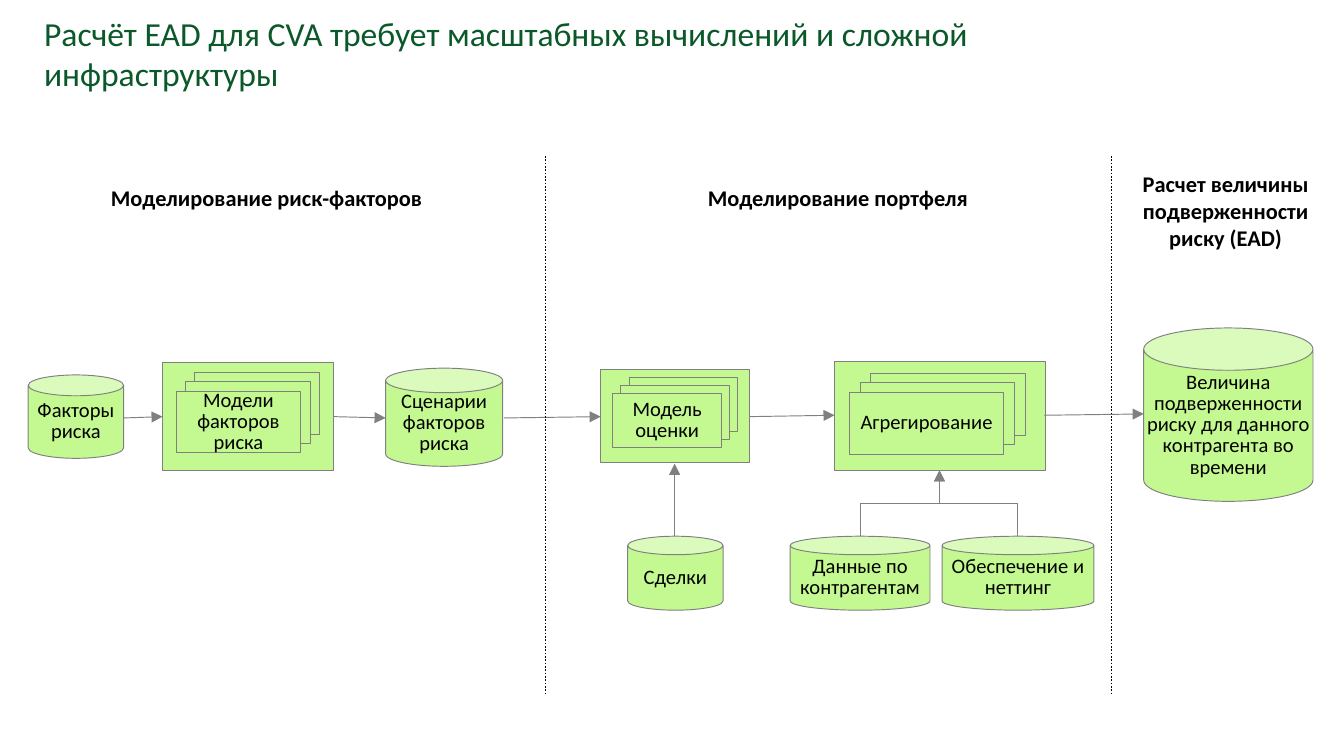
"""Build a slide showing the EAD calculation flow for CVA."""
from lxml.etree import SubElement
from pptx import Presentation
from pptx.dml.color import RGBColor
from pptx.enum.dml import MSO_LINE
from pptx.enum.shapes import MSO_CONNECTOR as LINK, MSO_SHAPE as SHAPE
from pptx.enum.text import MSO_ANCHOR as ANCHOR, PP_ALIGN as ALIGN
from pptx.oxml.ns import qn
from pptx.util import Inches, Pt

rgb = RGBColor.from_string
GREEN, GREY, BLACK = "C4F991", "808080", "000000"


def write(shape, text, size=11, color=BLACK, bold=False, align=ALIGN.CENTER,
          anchor=ANCHOR.MIDDLE, inset=(0.1, 0.05), spacing=None, wrap=True):
    frame = shape.text_frame
    frame.word_wrap = wrap
    frame.vertical_anchor = anchor
    frame.margin_left = frame.margin_right = Inches(inset[0])
    frame.margin_top = frame.margin_bottom = Inches(inset[1])
    paragraph = frame.paragraphs[0]
    paragraph.text = text
    paragraph.alignment = align
    paragraph.line_spacing = spacing
    font = paragraph.font
    font.name, font.size, font.bold = "Calibri", Pt(size), bold
    font.color.rgb = rgb(color)


def connect(kind, start, end, color=GREY, width=0.5, arrow=True):
    link = slide.shapes.add_connector(kind, *map(Inches, start + end))
    link.line.color.rgb = rgb(color)
    link.line.width = Pt(width)
    properties = link.element.spPr
    SubElement(properties, qn("a:effectLst"))
    if arrow:
        SubElement(properties.find(qn("a:ln")), qn("a:tailEnd"), type="triangle")
    return link


deck = Presentation()
deck.slide_width = Inches(10)
deck.slide_height = Inches(10 * 9 / 16)
slide = deck.slides.add_slide(deck.slide_layouts[6])

title = slide.shapes.add_textbox(*map(Inches, (0.23, 0.08, 7.17, 0.63)))
write(title, "Расчёт EAD для CVA требует масштабных вычислений и сложной инфраструктуры",
      size=18, color="0B592A", align=ALIGN.LEFT)

stages = [
    ("Моделирование риск-факторов", (0.72, 1.32, 2.53, 0.3), False),
    ("Моделирование портфеля", (5.16, 1.32, 2.15, 0.3), False),
    ("Расчет величины подверженности риску (EAD)", (8.27, 1.22, 1.7, 0.71), True),
]
for heading, place, wrap in stages:
    stage = slide.shapes.add_textbox(*map(Inches, place))
    write(stage, heading, size=12, bold=True, anchor=ANCHOR.TOP, wrap=wrap)

nodes = [
    (SHAPE.CAN, (0.21, 2.79, 0.71, 0.62), "Факторы риска", 0.02),
    (SHAPE.CAN, (2.87, 2.74, 0.87, 0.73), "Сценарии факторов риска", 0.02),
    (SHAPE.CAN, (4.67, 3.99, 0.71, 0.55), "Сделки", 0.02),
    (SHAPE.CAN, (5.88, 3.99, 1.04, 0.55), "Данные по контрагентам", 0.02),
    (SHAPE.CAN, (7.01, 3.99, 1.13, 0.55), "Обеспечение и неттинг", 0.02),
    (SHAPE.CAN, (8.51, 2.44, 1.26, 1.29), "Величина подверженности риску для данного контрагента во времени", 0.02),
]
models = [
    ("Модели факторов риска", (1.21, 2.7, 1.27, 0.8), (1.31, 2.91, 0.93, 0.46), 0.07, 0.07),
    ("Модель оценки", (4.47, 2.75, 1.11, 0.69), (4.56, 2.93, 0.81, 0.4), 0.06, 0.06),
    ("Агрегирование", (6.21, 2.69, 1.57, 0.81), (6.32, 2.92, 1.15, 0.46), 0.08, 0.07),
]
for label, panel, (left, top, width, height), step_x, step_y in models:
    nodes.append((SHAPE.RECTANGLE, panel, "", 0.05))
    for depth in (2, 1, 0):
        sheet = (left + depth * step_x, top - depth * step_y, width, height)
        nodes.append((SHAPE.RECTANGLE, sheet, "" if depth else label, 0.05))

for outline, place, label, margin in nodes:
    node = slide.shapes.add_shape(outline, *map(Inches, place))
    node.shadow.inherit = False
    node.fill.solid()
    node.fill.fore_color.rgb = rgb(GREEN)
    node.line.color.rgb = rgb(GREY)
    node.line.width = Pt(0.5)
    if label:
        write(node, label, inset=(margin, 0.05), spacing=0.86)

flows = [
    ((0.92, 3.11), (1.21, 3.1)),
    ((2.48, 3.1), (2.87, 3.11)),
    ((3.75, 3.11), (4.47, 3.1)),
    ((5.58, 3.1), (6.21, 3.09)),
    ((7.77, 3.09), (8.51, 3.08)),
    ((5.02, 3.99), (5.02, 3.45)),
]
for start, end in flows:
    connect(LINK.STRAIGHT, start, end)

merge_x, merge_y, source_y = 6.99, 3.5, 3.99
half_rise, middle_y = (source_y - merge_y) / 2, (source_y + merge_y) / 2
for source_x in (6.4, 7.57):
    middle_x, half_run = (source_x + merge_x) / 2, (source_x - merge_x) / 2
    elbow = connect(LINK.ELBOW, (middle_x - half_rise, middle_y + half_run),
                    (middle_x + half_rise, middle_y - half_run))
    elbow.element.spPr.find(qn("a:xfrm")).set("rot", str(270 * 60000))

for divider_x in (4.06, 8.27):
    divider = connect(LINK.STRAIGHT, (divider_x, 1.16), (divider_x, 5.17),
                      color=BLACK, width=0.25, arrow=False)
    divider.line.dash_style = MSO_LINE.DASH

deck.save("out.pptx")
